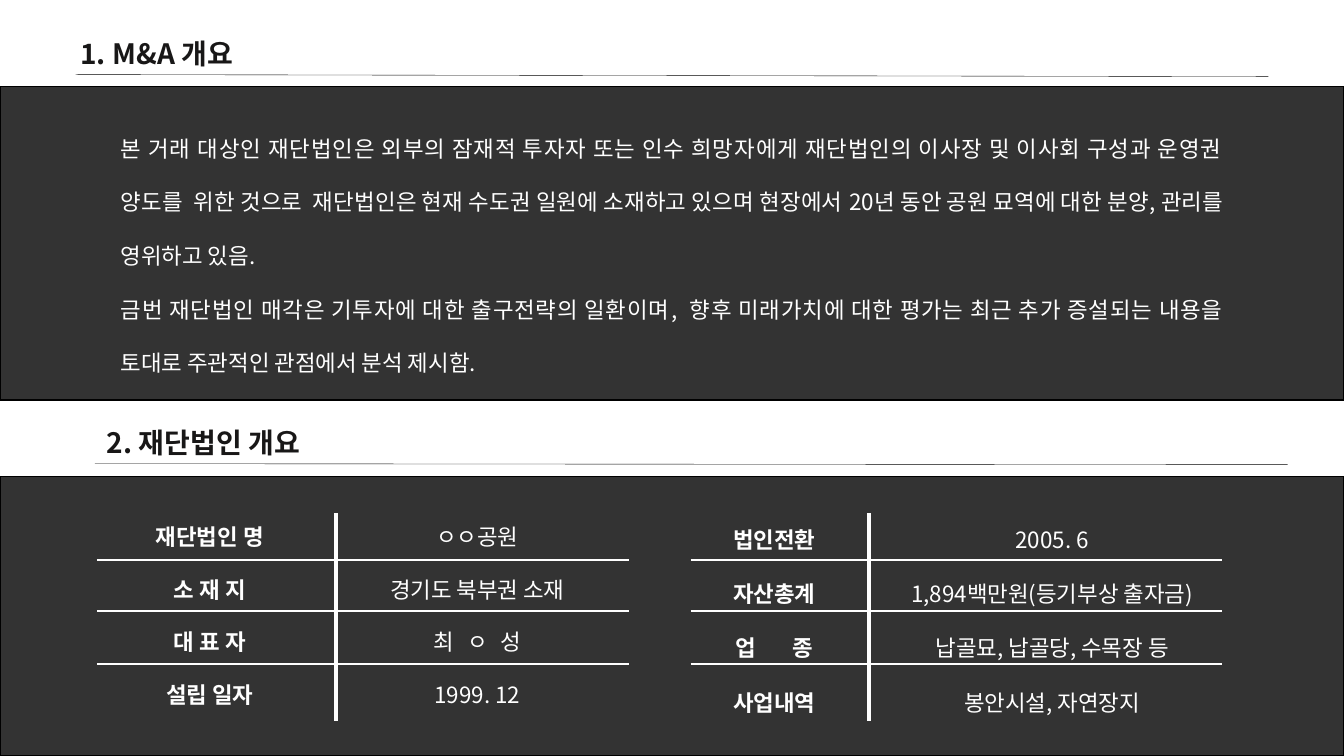
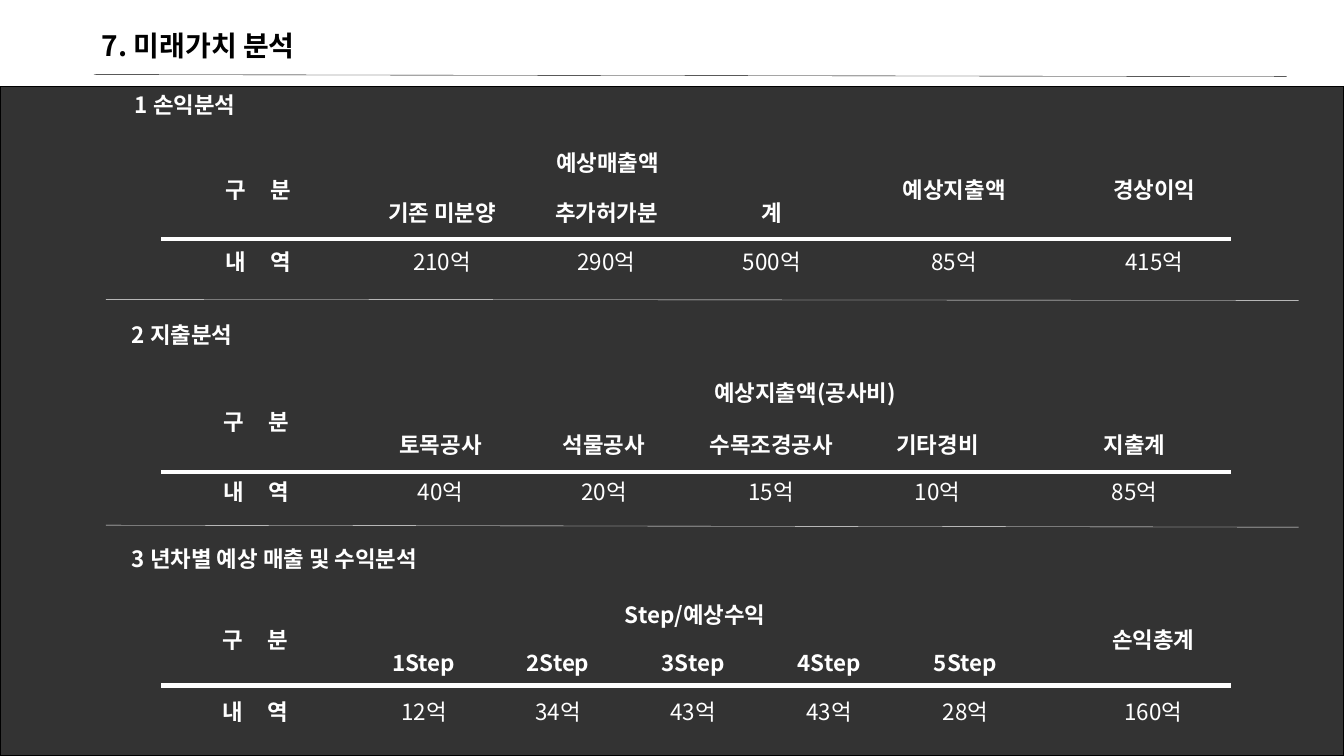
from itertools import pairwise

from lxml import etree
from pptx import Presentation
from pptx.dml import color
from pptx.enum import shapes, text
from pptx.oxml import ns
from pptx.util import Inches, Pt

FONT = "Noto Sans CJK KR"
BLACK, WHITE, INK = "000000", "FFFFFF", "181717"
CENTER, JUSTIFY = text.PP_ALIGN.CENTER, text.PP_ALIGN.JUSTIFY
NO_STYLE = "{2D5ABB26-0587-4C30-8999-92F81FD0307C}"
BAND_OPACITY = 80000
LABEL_GAP = 7


def paint(fill, hex_color):
    fill.solid()
    fill.fore_color.rgb = color.RGBColor.from_string(hex_color)


def write(frame, content, size=16, ink=WHITE, bold=False, align=None, spacing=None, gap=0):
    """Fill a frame with one paragraph per line; gap widens the letters in points."""
    frame.word_wrap = True
    for index, line in enumerate(content.split("\n")):
        paragraph = frame.paragraphs[0] if index == 0 else frame.add_paragraph()
        paragraph.alignment = align
        paragraph.line_spacing = spacing
        run = paragraph.add_run()
        run.text = line
        run.font.size, run.font.bold, run.font.name = Pt(size), bold, FONT
        paint(run.font.fill, ink)
        properties = run.font._element
        etree.SubElement(properties, ns.qn("a:ea"), typeface=FONT)
        if gap:
            properties.set("spc", str(gap * 100))


presentation = Presentation()
presentation.slide_width, presentation.slide_height = Inches(13.33), Inches(7.5)
overview, analysis = [
    presentation.slides.add_slide(presentation.slide_layouts[6]) for _ in range(2)
]

# Dark bands: slide, top, height
for slide, top, height in [(overview, 4.73, 2.77), (overview, 0.86, 3.11), (analysis, 0.86, 6.64)]:
    band = slide.shapes.add_shape(
        shapes.MSO_SHAPE.RECTANGLE, 0, Inches(top), Inches(13.33), Inches(height)
    )
    band.shadow.inherit = False
    paint(band.fill, BLACK)
    tint = band.fill._xPr.find(ns.qn("a:solidFill"))[0]
    etree.SubElement(tint, ns.qn("a:alpha"), val=str(BAND_OPACITY))
    paint(band.line.fill, BLACK)
    band.line.width = Pt(1)

# Headings and body text: slide, left, top, width, height, text, format
title = {"size": 20, "ink": INK, "bold": True}
section = {"bold": True}
body = (
    "본 거래 대상인 재단법인은 외부의 잠재적 투자자 또는 인수 희망자에게 재단법인의 이사장 및 "
    "이사회 구성과 운영권 양도를  위한 것으로  재단법인은 현재 수도권 일원에 소재하고 있으며 "
    "현장에서 20년 동안 공원 묘역에 대한 분양, 관리를 영위하고 있음.\n"
    "금번 재단법인 매각은 기투자에 대한 출구전략의 일환이며,  향후 미래가치에 대한 평가는 "
    "최근 추가 증설되는 내용을 토대로 주관적인 관점에서 분석 제시함."
)
for slide, left, top, width, height, content, style in [
    (overview, 0.7, 0.31, 11.93, 0.43, "1. M&A 개요", title),
    (overview, 1.1, 1.02, 11.13, 2.79, body, {"align": JUSTIFY, "spacing": 2.0}),
    (overview, 0.96, 4.17, 11.8, 0.43, "2. 재단법인 개요", title),
    (analysis, 0.91, 0.23, 11.93, 0.43, "7. 미래가치 분석", title | {"ink": BLACK}),
    (analysis, 1.24, 0.86, 11.93, 0.43, "1 손익분석", section),
    (analysis, 1.21, 3.14, 11.93, 0.43, "2 지출분석", section),
    (analysis, 1.21, 5.36, 11.93, 0.43, "3 년차별 예상 매출 및 수익분석", section),
]:
    box = slide.shapes.add_textbox(Inches(left), Inches(top), Inches(width), Inches(height))
    write(box.text_frame, content, **style)

# Tables: slide, top, column edges, row heights, merged ranges, rows
facts_left = [
    ("재단법인 명", "ㅇㅇ공원"),
    ("소 재 지", "경기도 북부권 소재"),
    ("대 표 자", "최 ㅇ 성"),
    ("설립 일자", "1999. 12"),
]
facts_right = [
    ("법인전환", "2005. 6"),
    ("자산총계", "1,894백만원(등기부상 출자금)"),
    ("업 종", "납골묘, 납골당, 수목장 등"),
    ("사업내역", "봉안시설, 자연장지"),
]
profit = [
    ("구 분", "예상매출액", "", "", "예상지출액", "경상이익"),
    ("", "기존 미분양", "추가허가분", "계", "", ""),
    ("내 역", "210억", "290억", "500억", "85억", "415억"),
]
expense = [
    ("구 분", "예상지출액(공사비)", "", "", "", ""),
    ("", "토목공사", "석물공사", "수목조경공사", "기타경비", "지출계"),
    ("내 역", "40억", "20억", "15억", "10억", "85억"),
]
yearly = [
    ("구 분", "Step/예상수익", "", "", "", "", "손익총계"),
    ("", *(f"{step}Step" for step in range(1, 6)), ""),
    ("내 역", "12억", "34억", "43억", "43억", "28억", "160억"),
]
letter_gaps = {"구 분": LABEL_GAP, "내 역": LABEL_GAP, "업 종": 11, "최 ㅇ 성": 3}
tables = [
    (overview, 5.06, [1.28, 2.88, 6.59], [0.52] * 4, [], facts_left),
    (overview, 5.07, [6.88, 8.48, 12.39], [0.54] * 4, [], facts_right),
    (analysis, 1.37, [1.55, 3.57, 5.2, 6.83, 8.48, 10.45, 12.45], [0.46, 0.54, 0.44],
     [(0, 0, 1, 0), (0, 1, 0, 3), (0, 4, 1, 4), (0, 5, 1, 5)], profit),
    (analysis, 3.66, [1.53, 3.56, 5.18, 6.8, 8.5, 10.1, 12.41], [0.46, 0.56, 0.38],
     [(0, 0, 1, 0), (0, 1, 0, 5)], expense),
    (analysis, 5.86, [1.53, 3.54, 4.87, 6.2, 7.55, 8.9, 10.25, 12.63], [0.46, 0.49, 0.49],
     [(0, 0, 1, 0), (0, 1, 0, 5), (0, 6, 1, 6)], yearly),
]
for slide, top, edges, heights, merges, rows in tables:
    table = slide.shapes.add_table(
        len(rows), len(rows[0]), Inches(edges[0]), Inches(top),
        Inches(edges[-1] - edges[0]), Inches(sum(heights)),
    ).table
    table.first_row = table.horz_banding = False
    table._tbl.tblPr.find(ns.qn("a:tableStyleId")).text = NO_STYLE
    for column, (start, end) in zip(table.columns, pairwise(edges)):
        column.width = Inches(end - start)
    for row, height in zip(table.rows, heights):
        row.height = Inches(height)
    for first_row, first_column, last_row, last_column in merges:
        table.cell(first_row, first_column).merge(table.cell(last_row, last_column))
    header_rows = len(rows) - 1 if merges else 0
    for row_index, row in enumerate(rows):
        for column_index, content in enumerate(row):
            cell = table.cell(row_index, column_index)
            cell.margin_left = cell.margin_right = cell.margin_top = cell.margin_bottom = 0
            cell.vertical_anchor = text.MSO_ANCHOR.MIDDLE
            cell.fill.background()
            for position, side in enumerate(("lnL", "lnR", "lnT", "lnB")):
                border = etree.Element(ns.qn(f"a:{side}"))
                etree.SubElement(border, ns.qn("a:noFill"))
                cell._tc.tcPr.insert(position, border)
            write(
                cell.text_frame, content, align=CENTER,
                bold=column_index == 0 or row_index < header_rows,
                gap=letter_gaps.get(content, 0),
            )

# Rules: slide, start x, start y, end x, end y, colour, width
rules = [
    (overview, 0.75, 0.74, 12.58, 0.76, BLACK, 0.25),
    (overview, 0.94, 4.6, 12.77, 4.61, BLACK, 0.25),
    (analysis, 0.93, 0.74, 12.76, 0.76, BLACK, 0.25),
    (analysis, 1.05, 2.97, 12.88, 2.98, WHITE, 0.25),
    (analysis, 1.05, 5.21, 12.88, 5.23, WHITE, 0.25),
]
for left, divider, right in [(0.96, 3.33, 6.24), (6.85, 8.62, 12.12)]:
    rules.append((overview, divider, 5.09, divider, 7.15, WHITE, 3))
    rules += [(overview, left, y, right, y, WHITE, 1.5) for y in (5.56, 6.06, 6.59)]
rules += [(analysis, 1.6, y, 12.21, y, WHITE, 3) for y in (2.37, 4.68, 6.8)]
for slide, start_x, start_y, end_x, end_y, ink, width in rules:
    rule = slide.shapes.add_connector(
        shapes.MSO_CONNECTOR.STRAIGHT,
        Inches(start_x), Inches(start_y), Inches(end_x), Inches(end_y),
    )
    paint(rule.line.fill, ink)
    rule.line.width = Pt(width)
    etree.SubElement(rule._element.spPr, ns.qn("a:effectLst"))

presentation.save("out.pptx")
